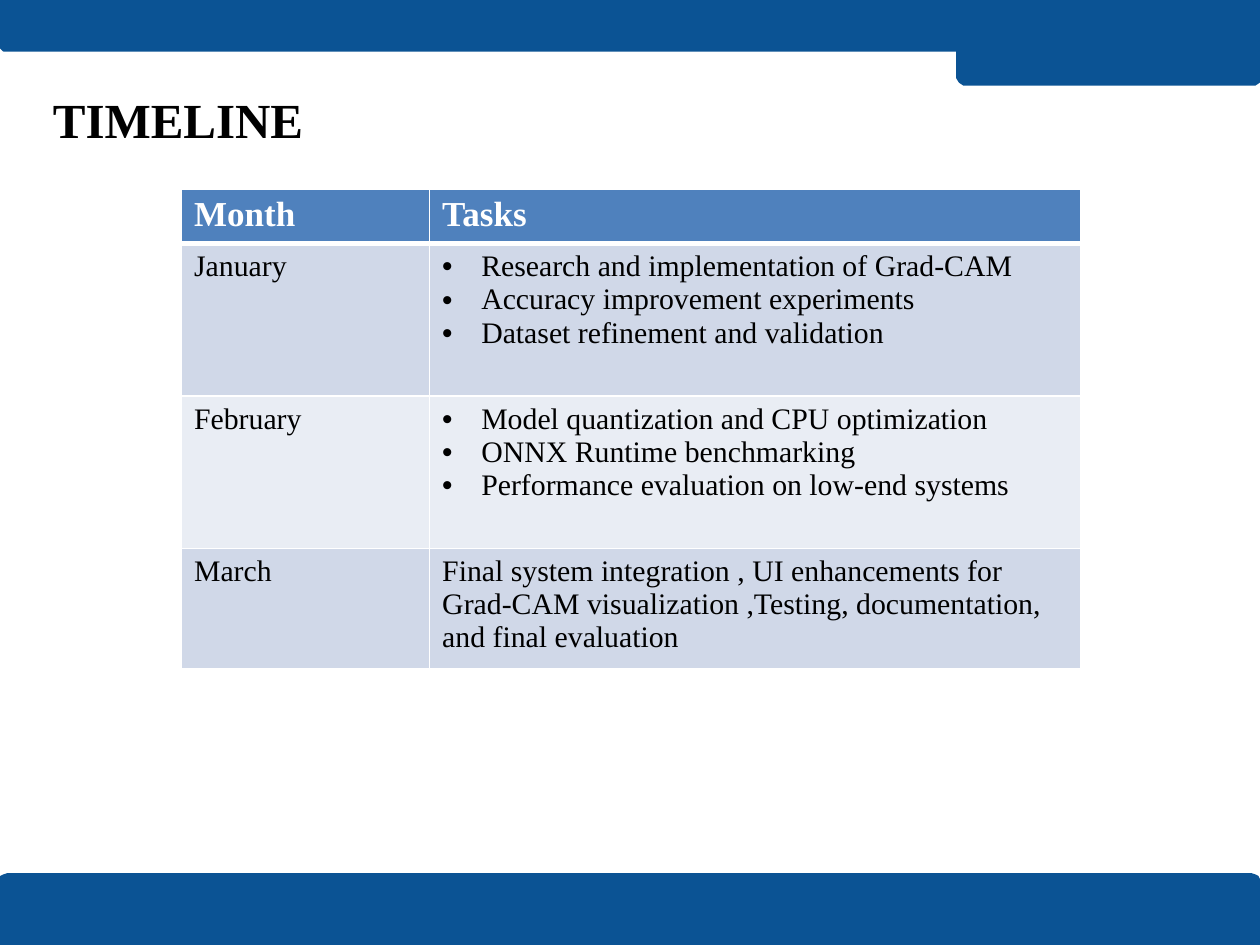
from dataclasses import dataclass

from lxml.etree import SubElement
from pptx import Presentation
from pptx.dml.color import RGBColor
from pptx.enum.text import MSO_ANCHOR, MSO_AUTO_SIZE, PP_ALIGN
from pptx.oxml.ns import qn
from pptx.util import Inches, Pt

FONT = "Times New Roman"
BAND_BLUE = "0B5394"
HEADER_BLUE = "4F81BD"
ROW_FILLS = ("D0D8E8", "E9EDF4")
WHITE, BLACK = "FFFFFF", "000000"


@dataclass(frozen=True)
class Band:
    """A page-edge block; points are (x, y) in inches."""
    points: tuple[tuple[float, float], ...]


@dataclass(frozen=True)
class Month:
    name: str
    tasks: tuple[str, ...]
    height: float
    bulleted: bool = True


# Footer band, header tab and header band
BANDS = (
    Band(((10, 7.5), (0, 7.5), (0, 6.97), (0.01, 6.96), (0.03, 6.95), (0.06, 6.94),
          (9.93, 6.94), (9.96, 6.95), (9.98, 6.96), (9.99, 6.98), (10, 7.01))),
    Band(((7.6, 0), (10, 0), (10, 0.63), (9.99, 0.65), (9.96, 0.67), (7.68, 0.67),
          (7.65, 0.67), (7.62, 0.65), (7.6, 0.62), (7.6, 0.59))),
    Band(((0, 0), (10, 0), (10, 0.38), (9.98, 0.4), (9.96, 0.4), (0.05, 0.4),
          (0.03, 0.4), (0.01, 0.38), (0, 0.37))),
)

MONTHS = (
    Month("January", ("Research and implementation of Grad-CAM",
                      "Accuracy improvement experiments",
                      "Dataset refinement and validation"), 1.21),
    Month("February", ("Model quantization and CPU optimization",
                       "ONNX Runtime benchmarking",
                       "Performance evaluation on low-end systems"), 1.21),
    Month("March", ("Final system integration , UI enhancements for Grad-CAM visualization "
                    ",Testing, documentation, and final evaluation",), 0.93, bulleted=False),
)
COLUMN_WIDTHS = (1.97, 5.17)
HEADER_HEIGHT = 0.42


def color(value: str) -> RGBColor:
    return RGBColor.from_string(value)


def write(para, text: str, *, size: float, fill: str = BLACK, bold: bool = False,
          bullet: bool = False) -> None:
    if bullet:
        props = para._p.get_or_add_pPr()
        props.set("marL", str(Inches(0.31)))
        props.set("indent", str(Inches(-0.31)))
        SubElement(props, qn("a:buFont"), typeface="Arial")
        SubElement(props, qn("a:buChar"), char="•")
    span = para.add_run()
    span.text = text
    span.font.name = FONT
    span.font.size = Pt(size)
    span.font.bold = bold
    span.font.color.rgb = color(fill)


def draw_band(page, band: Band) -> None:
    corners = [(Inches(x), Inches(y)) for x, y in band.points]
    builder = page.shapes.build_freeform(*corners[0], scale=1.0)
    builder.add_line_segments(corners[1:], close=True)
    shape = builder.convert_to_shape()
    shape.shadow.inherit = False
    shape.fill.solid()
    shape.fill.fore_color.rgb = color(BAND_BLUE)
    shape.line.color.rgb = color(BAND_BLUE)
    shape.line.width = Pt(1.5)


def style_cell(cell, fill: str, *, top: float = 1, bottom: float = 1) -> None:
    props = cell._tc.get_or_add_tcPr()
    # Borders come before the fill in the cell properties
    for side, width in (("L", 1), ("R", 1), ("T", top), ("B", bottom)):
        line = SubElement(props, qn(f"a:ln{side}"), w=str(Pt(width)))
        solid = SubElement(line, qn("a:solidFill"))
        SubElement(solid, qn("a:srgbClr"), val=WHITE)
    cell.fill.solid()
    cell.fill.fore_color.rgb = color(fill)


def fill_cell(cell, lines: tuple[str, ...], **text_format) -> None:
    frame = cell.text_frame
    for index, line in enumerate(lines):
        para = frame.add_paragraph() if index else frame.paragraphs[0]
        write(para, line, **text_format)


def draw_title(page, text: str) -> None:
    box = page.shapes.title
    box.left, box.top, box.width, box.height = map(Inches, (0.42, 0.71, 5.65, 0.47))
    frame = box.text_frame
    frame.margin_left = frame.margin_right = frame.margin_top = frame.margin_bottom = 0
    frame.vertical_anchor = MSO_ANCHOR.TOP
    frame.auto_size = MSO_AUTO_SIZE.SHAPE_TO_FIT_TEXT
    para = frame.paragraphs[0]
    para.alignment = PP_ALIGN.LEFT
    write(para, text, size=28, bold=True)


def draw_timeline(page) -> None:
    heights = (HEADER_HEIGHT, *(month.height for month in MONTHS))
    table = page.shapes.add_table(
        len(heights), len(COLUMN_WIDTHS), Inches(1.44), Inches(1.5),
        Inches(sum(COLUMN_WIDTHS)), Inches(sum(heights))).table
    for column, width in zip(table.columns, COLUMN_WIDTHS):
        column.width = Inches(width)
    for row, height in zip(table.rows, heights):
        row.height = Inches(height)

    # Header row
    for cell, label in zip(table.rows[0].cells, ("Month", "Tasks")):
        style_cell(cell, HEADER_BLUE, bottom=3)
        fill_cell(cell, (label,), size=20, fill=WHITE, bold=True)

    # One row a month, in alternating fills
    for index, month in enumerate(MONTHS):
        name_cell, task_cell = table.rows[index + 1].cells
        for cell in (name_cell, task_cell):
            style_cell(cell, ROW_FILLS[index % 2], top=1 if index else 3)
        fill_cell(name_cell, (month.name,), size=17)
        fill_cell(task_cell, month.tasks, size=17, bullet=month.bulleted)


def main() -> None:
    deck = Presentation()
    deck.slide_width, deck.slide_height = Inches(10), Inches(7.5)
    page = deck.slides.add_slide(deck.slide_layouts[5])
    for band in BANDS:
        draw_band(page, band)
    draw_title(page, "TIMELINE")
    draw_timeline(page)
    deck.save("out.pptx")


if __name__ == "__main__":
    main()
